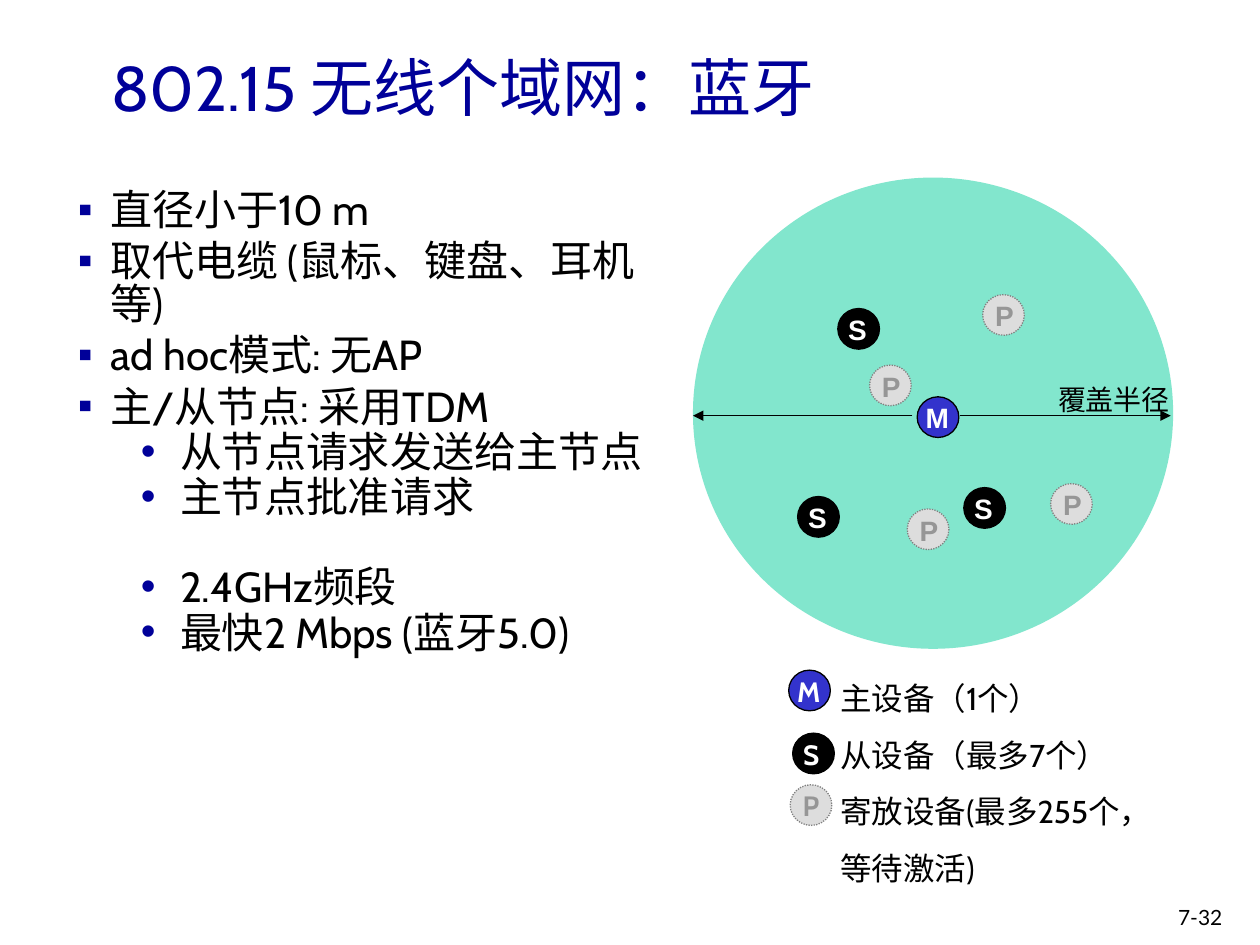
from collections import namedtuple

from lxml.etree import SubElement
from pptx import Presentation
from pptx.dml.color import RGBColor
from pptx.enum.dml import MSO_LINE
from pptx.enum.shapes import MSO_CONNECTOR, MSO_SHAPE
from pptx.enum.text import MSO_ANCHOR, MSO_AUTO_SIZE
from pptx.oxml.ns import qn
from pptx.util import Cm, Pt

BLACK = RGBColor(0x00, 0x00, 0x00)
WHITE = RGBColor(0xFF, 0xFF, 0xFF)
NAVY = RGBColor(0x00, 0x00, 0x99)
BLUE = RGBColor(0x33, 0x33, 0xCC)
TEAL = RGBColor(0x00, 0xCC, 0x99)
PALE = RGBColor(0xDD, 0xDD, 0xDD)
GREY = RGBColor(0x80, 0x80, 0x80)
MID_GREY = RGBColor(0x96, 0x96, 0x96)

CJK = "Noto Sans CJK SC"

Box = namedtuple("Box", "left top width height")  # centimetres
Device = namedtuple("Device", "fill line dash text shift")

DEVICES = {
    "M": Device(BLUE, BLACK, None, WHITE, -0.08),
    "S": Device(BLACK, BLACK, None, WHITE, -0.04),
    "P": Device(PALE, GREY, MSO_LINE.ROUND_DOT, MID_GREY, 0),
}
BADGE_WIDTH, BADGE_HEIGHT = 0.84, 0.82

PICONET = [
    ("M", 4.52, 4.42),
    ("S", 2.92, 2.64), ("S", 5.46, 6.25), ("S", 2.11, 6.43),
    ("P", 5.84, 2.36), ("P", 4.32, 6.68), ("P", 3.56, 3.78), ("P", 7.21, 6.17),
]
LEGEND_BADGES = [("M", 0.08, 0.33), ("S", 0.16, 1.6), ("P", 0.11, 2.64)]
LEGEND_LINES = ["主设备（1个）", "从设备（最多7个）", "寄放设备(最多255个，", "等待激活)"]

MAIN_POINTS = ["直径小于10 m", "取代电缆 (鼠标、键盘、耳机等)",
               "ad hoc模式: 无AP", "主/从节点: 采用TDM"]
SUB_POINTS = ["从节点请求发送给主节点", "主节点批准请求",
              "2.4GHz频段", "最快2 Mbps (蓝牙5.0)"]
GROUP_START = "2.4GHz频段"


def inside(box, left, top, width, height):
    return Box(box.left + left, box.top + top, width, height)


def apply_format(target, values):
    for name, value in values.items():
        setattr(target, name, value)


def add_span(para, text, size, font="Cabin", color=BLACK, bold=False):
    span = para.add_run()
    span.text = text
    span.font.color.rgb = color
    apply_format(span.font, {"size": Pt(size), "name": font, "bold": bold})
    SubElement(span.font._element, qn("a:ea"), typeface=CJK)


def add_frame(page, box, **values):
    frame = page.shapes.add_textbox(*map(Cm, box)).text_frame
    apply_format(frame, {"word_wrap": True, **values})
    return frame


def add_ellipse(page, box, color):
    ellipse = page.shapes.add_shape(MSO_SHAPE.OVAL, *map(Cm, box))
    ellipse.shadow.inherit = False
    ellipse.fill.solid()
    ellipse.fill.fore_color.rgb = color
    return ellipse


def add_badges(page, box, badges, font):
    """Place lettered device circles at offsets from the box corner."""
    for letter, left, top in badges:
        device = DEVICES[letter]
        circle = add_ellipse(
            page, inside(box, left, top, BADGE_WIDTH, BADGE_HEIGHT), device.fill)
        circle.line.color.rgb = device.line
        apply_format(circle.line, {"width": Pt(0.75), "dash_style": device.dash})
        frame = add_frame(
            page, inside(box, left + device.shift, top - 0.04, BADGE_WIDTH, 0.94),
            auto_size=MSO_AUTO_SIZE.SHAPE_TO_FIT_TEXT)
        add_span(frame.paragraphs[0], letter, 16, font, device.text, True)


def add_arrow(page, start, end, y):
    arrow = page.shapes.add_connector(
        MSO_CONNECTOR.STRAIGHT, Cm(start), Cm(y), Cm(end), Cm(y))
    arrow.line.color.rgb = BLACK
    arrow.line.width = Pt(0.75)
    SubElement(arrow.line._get_or_add_ln(), qn("a:tailEnd"), type="triangle")
    SubElement(arrow._element.spPr, qn("a:effectLst"))


def add_title(page, box):
    frame = add_frame(page, box, vertical_anchor=MSO_ANCHOR.MIDDLE)
    para = frame.paragraphs[0]
    add_span(para, "802.15 无线", 36, color=NAVY)
    add_span(para, "个域网：蓝牙", 36, CJK, NAVY)


def add_bullet(para, mark, margin, hanging):
    props = para._p.get_or_add_pPr()
    props.set("marL", str(Cm(margin)))
    props.set("indent", str(-Cm(hanging)))
    color = SubElement(props, qn("a:buClr"))
    SubElement(color, qn("a:srgbClr"), val=str(NAVY))
    SubElement(props, qn("a:buFont"), typeface="Arial")
    SubElement(props, qn("a:buChar"), char=mark)


def add_points(page, box):
    frame = add_frame(page, box)
    levels = [(MAIN_POINTS, 0, 0.85, "▪", 0.66, 0.66),
              (SUB_POINTS, 1, Pt(21), "•", 2.06, 0.79)]
    para = frame.paragraphs[0]
    for points, level, spacing, mark, margin, hanging in levels:
        for text in points:
            if para.runs:
                para = frame.add_paragraph()
            before = 30.6 if text == GROUP_START else 4.8
            apply_format(para, {"level": level, "line_spacing": spacing,
                                "space_before": Pt(before)})
            add_bullet(para, mark, margin, hanging)
            add_span(para, text, 24)


def add_coverage(page, box):
    area = add_ellipse(page, box, TEAL)
    area.line.fill.background()
    color = area.fill._xPr.find(qn("a:solidFill"))[0]
    SubElement(color, qn("a:alpha"), val="49000")
    axis = box.top + 4.8
    add_arrow(page, box.left + 5.38, box.left + 9.63, axis)
    add_arrow(page, box.left + 4.42, box.left, axis)
    frame = add_frame(page, inside(box, 7.11, 4.01, 2.79, 0.94), word_wrap=False,
                      auto_size=MSO_AUTO_SIZE.SHAPE_TO_FIT_TEXT)
    add_span(frame.paragraphs[0], "覆盖半径", 16, CJK)
    add_badges(page, box, PICONET, "Arial")


def add_legend(page, box):
    frame = add_frame(page, inside(box, 0.87, 0, box.width - 0.87, box.height),
                      word_wrap=False, auto_size=MSO_AUTO_SIZE.SHAPE_TO_FIT_TEXT)
    for index, text in enumerate(LEGEND_LINES):
        para = frame.add_paragraph() if index else frame.paragraphs[0]
        para.line_spacing = 1.5
        add_span(para, text, 18)
    add_badges(page, box, LEGEND_BADGES, "Cabin")


def add_page_number(page, box):
    add_span(add_frame(page, box).paragraphs[0], "7-32", 12, "Lato")


def main():
    deck = Presentation()
    deck.slide_width, deck.slide_height = Cm(25.4), Cm(19.05)
    page = deck.slides.add_slide(deck.slide_layouts[6])
    add_coverage(page, Box(13.97, 3.58, 9.68, 9.5))
    add_legend(page, Box(15.82, 13.18, 7.8, 4.88))
    add_title(page, Box(2, 0.58, 21.6, 2.34))
    add_points(page, Box(1.32, 3.73, 12.4, 15.32))
    add_page_number(page, Box(23.5, 18.11, 1.9, 0.76))
    deck.save("out.pptx")


if __name__ == "__main__":
    main()
